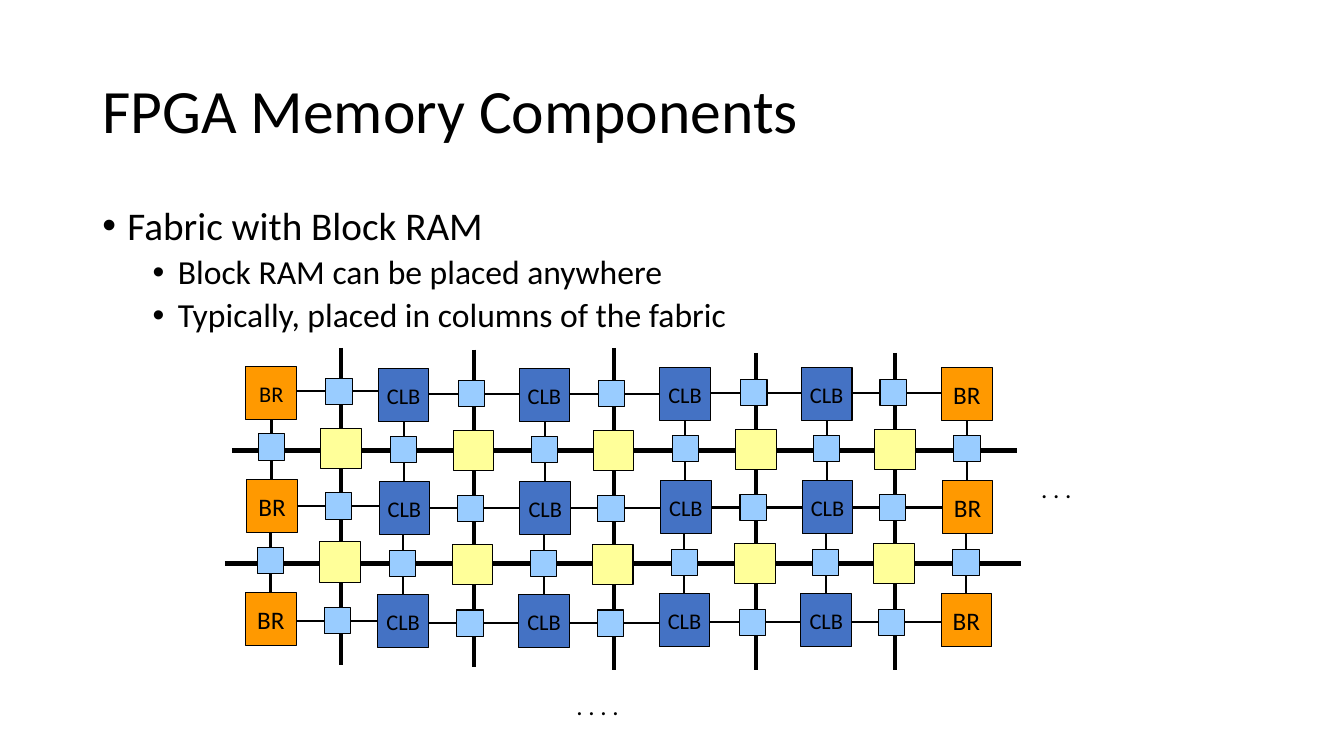
"""Build a slide showing an FPGA fabric with columns of block RAM."""
from lxml import etree
from pptx import Presentation, util as u
from pptx.dml.color import RGBColor
from pptx.enum import shapes, text
from pptx.oxml.ns import qn

TITLE = "FPGA Memory Components"
BULLETS = [
    ("Fabric with Block RAM", 0, 28, 0),
    ("Block RAM can be placed anywhere", 1, 24, 5),
    ("Typically, placed in columns of the fabric", 1, 24, 5),
]
ELLIPSES = [(". . .", 736.5, 334.8), (". . . .", 404.6, 489.6)]

BLACK, YELLOW, LIGHT_BLUE = "000000", "FFFF99", "99CCFF"
KINDS = {"BR": "FF9900", "CLB": "4472C4"}
COLUMNS = [("BR", 175.7, -1), ("CLB", 270.2, 0.7), ("CLB", 370.8, 0.7),
           ("CLB", 471.2, 0), ("CLB", 572.4, 0), ("BR", 672.5, 0)]
ROW_TOPS = [262.8, 343.5, 424.2]
ROW_SHIFTS = [0, 0.6, -0.3]
WIRE_DROPS = [17.7, 19, 20.2]
ROUTER_LEFTS = [229.2, 324, 424.1, 525.6, 625]
ROUTER_TOPS = [306.8, 388.1]
BUS_TOPS = [248.4, 249.8, 248.4, 252, 252]
BUS_BOTTOMS = [475.2, 476.6, 478.8, 478.8, 478.8]
BUS_RUNS = [
    (321.8, [(165.6, 418.3), (411.1, 565.9), (511.9, 626.4), (612, 726.5)]),
    (402.5, [(160.6, 417.6), (410.4, 565.2), (511.2, 629.3), (611.3, 729.4)]),
]
BLOCK_W, BLOCK_H, ROUTER, SWITCH = 36.2, 37.9, 28.8, 18.7

deck = Presentation()
deck.slide_width, deck.slide_height = u.Pt(960), u.Pt(540)
slide = deck.slides.add_slide(deck.slide_layouts[6])


def color(value):
    return RGBColor.from_string(value)


def style(paragraph, size):
    for run in paragraph.runs:
        run.font.size = u.Pt(size)
        run.font.name = "Calibri"
        run.font.color.rgb = color(BLACK)


def wire(x1, y1, x2, y2, width=1.5):
    line = slide.shapes.add_connector(
        shapes.MSO_CONNECTOR.STRAIGHT, u.Pt(x1), u.Pt(y1), u.Pt(x2), u.Pt(y2))
    line.line.color.rgb = color(BLACK)
    line.line.width = u.Pt(width)
    etree.SubElement(line._element.spPr, qn("a:effectLst"))


def box(left, top, width, height, fill, label="", size=16):
    part = slide.shapes.add_shape(
        shapes.MSO_SHAPE.RECTANGLE, u.Pt(left), u.Pt(top), u.Pt(width), u.Pt(height))
    part.shadow.inherit = False
    part.fill.solid()
    part.fill.fore_color.rgb = color(fill)
    part.line.color.rgb = color(BLACK)
    part.line.width = u.Pt(0.75)
    if label:
        frame = part.text_frame
        frame.text = label
        frame.word_wrap = False
        frame.vertical_anchor = text.MSO_ANCHOR.MIDDLE
        frame.paragraphs[0].alignment = text.PP_ALIGN.CENTER
        style(frame.paragraphs[0], size)


def text_area(left, top, width, height):
    area = slide.shapes.add_textbox(u.Pt(left), u.Pt(top), u.Pt(width), u.Pt(height))
    area.text_frame.word_wrap = True
    return area.text_frame


heading = text_area(66, 28.8, 828, 104.4)
heading.vertical_anchor = text.MSO_ANCHOR.MIDDLE
heading.text = TITLE
heading.paragraphs[0].line_spacing = 0.9
style(heading.paragraphs[0], 44)

body = text_area(66, 143.8, 828, 342.6)
body.text = "\n".join(bullet[0] for bullet in BULLETS)
for paragraph, (_, level, size, gap) in zip(body.paragraphs, BULLETS):
    paragraph.level = level
    paragraph.line_spacing = 0.9
    if gap:
        paragraph.space_before = u.Pt(gap)
    props = paragraph._p.get_or_add_pPr()
    props.set("marL", str(u.Pt(18 + 36 * level)))
    props.set("indent", str(u.Pt(-18)))
    etree.SubElement(props, qn("a:buFont"), typeface="Arial")
    etree.SubElement(props, qn("a:buChar"), char="•")
    style(paragraph, size)

for bus_y, runs in BUS_RUNS:
    for start, end in runs:
        wire(start, bus_y, end, bus_y, 3)
for router_left, top, bottom in zip(ROUTER_LEFTS, BUS_TOPS, BUS_BOTTOMS):
    wire(router_left + ROUTER / 2, top, router_left + ROUTER / 2, bottom, 3)

for col, (kind, column_left, column_dy) in enumerate(COLUMNS):
    for row, row_top in enumerate(ROW_TOPS):
        left, top = column_left + ROW_SHIFTS[row], row_top + column_dy
        size = 16 if kind == "CLB" or (col, row) == (0, 0) else 18
        box(left, top, BLOCK_W, BLOCK_H, KINDS[kind], kind, size)

        if row < len(ROUTER_TOPS):
            router_top = ROUTER_TOPS[row] + column_dy
            switch_left = column_left + 8.9 - 0.7 * row
            switch_top = router_top + 4.2
            center = switch_left + SWITCH / 2
            wire(center, top + BLOCK_H, center, switch_top)
            wire(center, switch_top + SWITCH, center, ROW_TOPS[row + 1] + column_dy)
            box(switch_left, switch_top, SWITCH, SWITCH, LIGHT_BLUE)
            if col < len(ROUTER_LEFTS):
                box(ROUTER_LEFTS[col] - 0.7 * row, router_top, ROUTER, ROUTER, YELLOW)

        if col < len(ROUTER_LEFTS):
            wire_y = top + WIRE_DROPS[row]
            switch_left = ROUTER_LEFTS[col] + 3.6 - 0.6 * row
            wire(left + BLOCK_W, wire_y, switch_left, wire_y)
            wire(switch_left + SWITCH, wire_y, COLUMNS[col + 1][1] + ROW_SHIFTS[row], wire_y)
            box(switch_left, wire_y - SWITCH / 2, SWITCH, SWITCH, LIGHT_BLUE)

for dots, left, top in ELLIPSES:
    note = text_area(left, top, 92.9, 28.8)
    note.text = dots
    style(note.paragraphs[0], 18)

deck.save("out.pptx")
